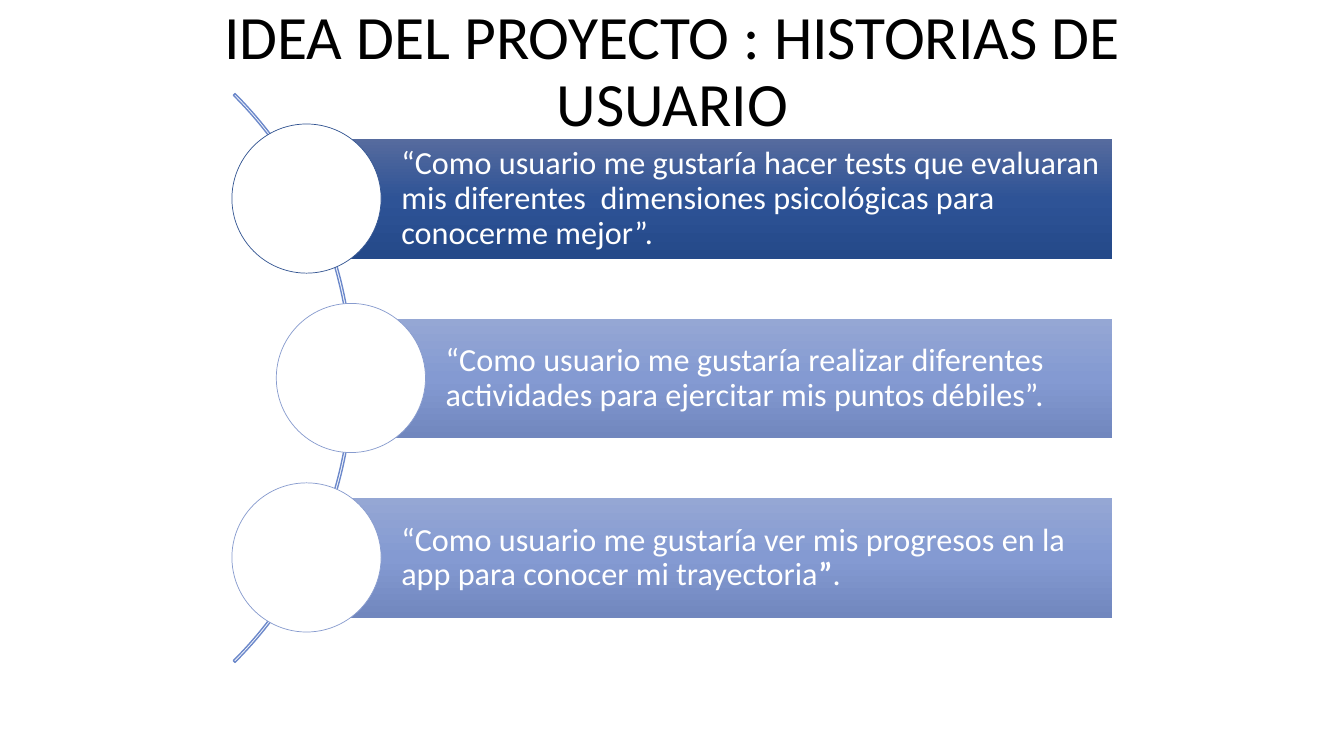
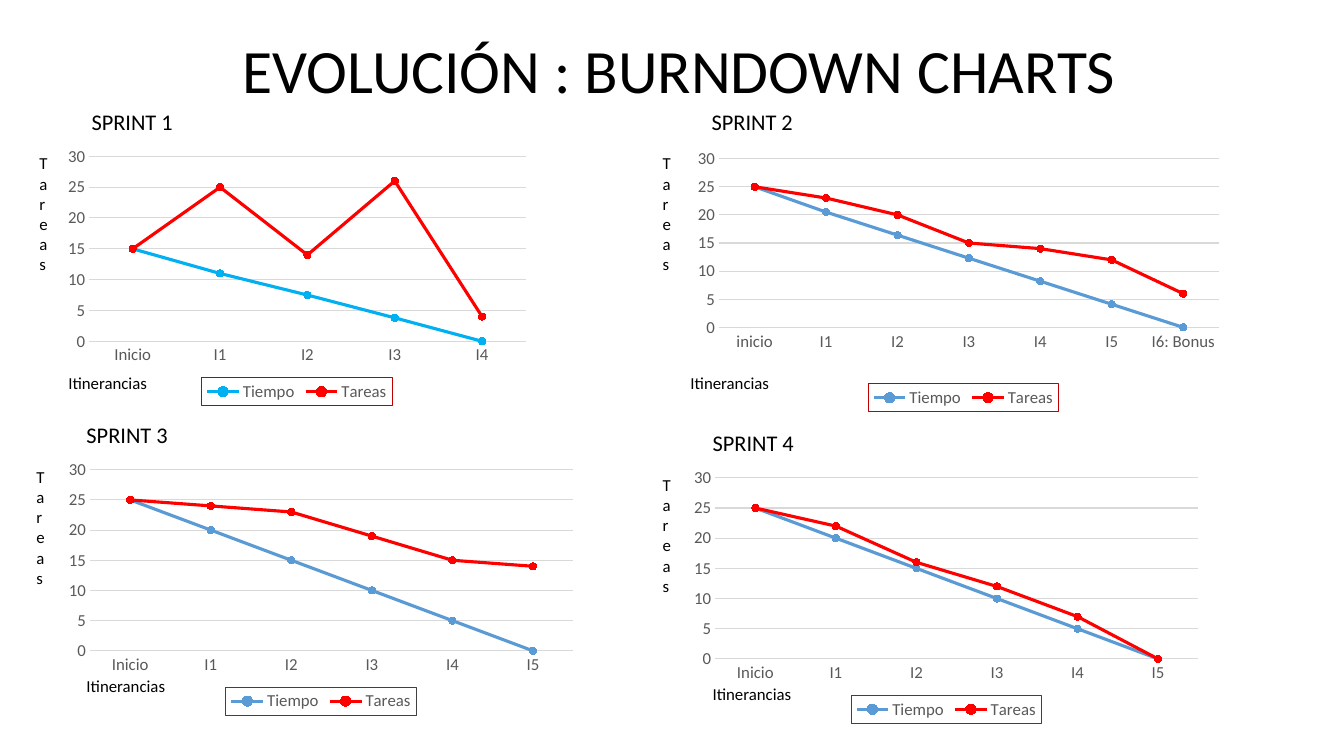
import copy
import pptx
import pptx.chart.data
import pptx.dml.color
import pptx.enum.chart
import pptx.enum.shapes
import pptx.enum.text
import pptx.oxml
import pptx.oxml.ns
import pptx.util

Inches = pptx.util.Inches
Pt = pptx.util.Pt
SHAPE = pptx.enum.shapes.MSO_SHAPE
ALIGN = pptx.enum.text.PP_ALIGN
ANCHOR = pptx.enum.text.MSO_ANCHOR
FIT = pptx.enum.text.MSO_AUTO_SIZE
CHART = pptx.enum.chart


def rgb(code):
    return pptx.dml.color.RGBColor.from_string(code)


def write(frame, text, size=12, color="000000", font="Calibri", align=ALIGN.LEFT,
          anchor=ANCHOR.TOP, space=None, pads=(0.1, 0.05, 0.1, 0.05), fit=FIT.NONE):
    frame.word_wrap = True
    frame.auto_size = fit
    frame.vertical_anchor = anchor
    (frame.margin_left, frame.margin_top,
     frame.margin_right, frame.margin_bottom) = map(Inches, pads)
    para = frame.paragraphs[0]
    para.alignment = align
    para.line_spacing = space
    for spot, part in enumerate(text.split("*")):
        run = para.add_run()
        run.text = part
        run.font.name = font
        run.font.size = Pt(size)
        run.font.bold = spot % 2 == 1
        run.font.color.rgb = rgb(color)


class Deck:
    font = "Calibri"
    black, white, red = "000000", "FFFFFF", "FF0000"
    gray, rule = "595959", "D9D9D9"

    def __init__(self):
        self.show = pptx.Presentation()
        self.show.slide_width = Inches(13.33)
        self.show.slide_height = Inches(7.5)
        self.slide = None

    def page(self):
        self.slide = self.show.slides.add_slide(self.show.slide_layouts[6])

    def label(self, text, x, y, w, h, **style):
        box = self.slide.shapes.add_textbox(*map(Inches, (x, y, w, h)))
        write(box.text_frame, text, font=self.font, **style)

    def title(self, text):
        self.label(text, 0.92, 0, 11.5, 1.45, size=44, align=ALIGN.CENTER,
                   anchor=ANCHOR.MIDDLE, space=0.9)

    def shape(self, kind, x, y, w, h, fill=None, line=None, width=1):
        item = self.slide.shapes.add_shape(kind, *map(Inches, (x, y, w, h)))
        item.shadow.inherit = False
        if fill:
            item.fill.solid()
            item.fill.fore_color.rgb = rgb(fill)
        else:
            item.fill.background()
        if line:
            item.line.color.rgb = rgb(line)
            item.line.width = Pt(width)
        else:
            item.line.fill.background()
        return item

    def arc(self, x, y, size, line):
        item = self.shape(SHAPE.BLOCK_ARC, x, y, size, size, line=line)
        for spot, value in enumerate((189, 27, 0.003)):
            item.adjustments[spot] = value

    def bar(self, text, x, y, w, h, shades):
        item = self.shape(SHAPE.RECTANGLE, x, y, w, h)
        item.fill.gradient()
        item.fill.gradient_angle = 270
        stops = item._element.spPr.find(".//" + pptx.oxml.ns.qn("a:gsLst"))
        stops.append(copy.deepcopy(stops[-1]))
        for spot, stop in enumerate(item.fill.gradient_stops):
            stop.position = spot / 2
            stop.color.rgb = rgb(shades[spot])
        write(item.text_frame, text, size=23, color=self.white, font=self.font,
              anchor=ANCHOR.MIDDLE, space=0.9, pads=(0.94, 0.06, 0.06, 0.06))

    def style(self, font, size, color):
        font.name = self.font
        font.size = Pt(size)
        font.color.rgb = rgb(color)

    def chart(self, x, y, w, h, cats, rows, colors, edge, plot=None):
        data = pptx.chart.data.CategoryChartData()
        data.categories = cats
        for name, vals in rows.items():
            data.add_series(name, vals)
        chart = self.slide.shapes.add_chart(
            CHART.XL_CHART_TYPE.LINE_MARKERS, *map(Inches, (x, y, w, h)), data).chart
        chart.has_title = False
        self.style(chart.font, 10, self.black)
        for axis in (chart.category_axis, chart.value_axis):
            axis.major_tick_mark = axis.minor_tick_mark = CHART.XL_TICK_MARK.NONE
            self.style(axis.tick_labels.font, 12, self.gray)
        grid = chart.value_axis.major_gridlines.format.line
        for line in (chart.category_axis.format.line, grid):
            line.color.rgb = rgb(self.rule)
            line.width = Pt(0.75)
        chart.value_axis.format.line.fill.background()
        chart.value_axis.minimum_scale = 0
        chart.value_axis.maximum_scale = 30
        chart.value_axis.major_unit = 5
        chart.plots[0].vary_by_categories = False
        for row, color in zip(chart.plots[0].series, colors):
            row.smooth = False
            row.format.line.color.rgb = rgb(color)
            row.format.line.width = Pt(2.25)
            row.marker.style = CHART.XL_MARKER_STYLE.CIRCLE
            row.marker.size = 5
            row.marker.format.fill.solid()
            row.marker.format.fill.fore_color.rgb = rgb(color)
            row.marker.format.line.color.rgb = rgb(color)
        self.legend(chart, edge)
        if plot:
            self.place(chart, plot)

    def legend(self, chart, edge):
        chart.has_legend = True
        key = chart.legend
        key.position = CHART.XL_LEGEND_POSITION.BOTTOM
        key.include_in_layout = False
        self.style(key.font, 12, self.gray)
        frame = pptx.oxml.parse_xml(
            f'<c:spPr {pptx.oxml.ns.nsdecls("c", "a")}><a:noFill/><a:ln w="9525">'
            f'<a:solidFill><a:srgbClr val="{edge}"/></a:solidFill></a:ln></c:spPr>')
        key._element.find(pptx.oxml.ns.qn("c:txPr")).addprevious(frame)

    def place(self, chart, plot):
        area = chart._chartSpace.chart.plotArea
        for old in area.findall(pptx.oxml.ns.qn("c:layout")):
            area.remove(old)
        sides = "".join(f'<c:{name} val="{value}"/>'
                        for name, value in zip("xywh", plot))
        area.insert(0, pptx.oxml.parse_xml(
            f'<c:layout {pptx.oxml.ns.nsdecls("c")}><c:manualLayout>'
            '<c:layoutTarget val="inner"/><c:xMode val="edge"/><c:yMode val="edge"/>'
            f'{sides}</c:manualLayout></c:layout>'))


def stories(deck):
    deck.page()
    deck.arc(-4.48, -0.24, 7.98, "6D89CB")
    dark = ("566B9E", "2E5396", "244989")
    light = ("95A7D4", "849AD2", "7187BE")
    items = (
        (3.04, dark, "325491", "“Como usuario me gustaría hacer tests que evaluaran mis "
         "diferentes  dimensiones psicológicas para conocerme mejor”."),
        (3.48, light, "879BCE", "“Como usuario me gustaría realizar diferentes actividades "
         "para ejercitar mis puntos débiles”."),
        (3.04, light, "879BCE", "“Como usuario me gustaría ver mis progresos en la app "
         "para conocer mi trayectoria*”*."),
    )
    for spot, (x, shades, edge, text) in enumerate(items):
        y = 1.38 + 1.78 * spot
        deck.bar(text, x, y, 11.03 - x, 1.19, shades)
        deck.shape(SHAPE.OVAL, x - 0.74, y - 0.15, 1.48, 1.48, deck.white, edge, 0.5)
    deck.title("IDEA DEL PROYECTO : HISTORIAS DE USUARIO")


def sprints(deck):
    deck.page()
    cyan, blue = "00B0F0", "5B9BD5"
    wine, dark = "C00000", "404040"
    steps = ["Inicio", "I1", "I2", "I3", "I4", "I5"]
    even = (25, 20, 15, 10, 5, 0)
    items = (
        ((0.58, 1.4, 4.73, 2.63), (0.32, 1.47), 0.81, (0.58, 3.65), steps[:5],
         (15, 11, 7.5, 3.8, 0), (15, 25, 14, 26, 4), cyan, wine, None),
        ((6.8, 1.47, 5.51, 2.62), (6.5, 1.47), 6.96, (6.75, 3.65),
         ["inicio", *steps[1:], "I6: Bonus"], (25, 20.5, 16.4, 12.3, 8.2, 4.1, 0),
         (25, 23, 20, 15, 14, 12, 6), blue, wine, (0.06, 0.04, 0.9, 0.64)),
        ((0.58, 4.51, 5.21, 2.59), (0.29, 4.58), 0.76, (0.76, 6.65), steps,
         even, (25, 24, 23, 19, 15, 14), blue, dark, None),
        ((6.78, 4.59, 5.21, 2.59), (6.5, 4.66), 6.97, (6.97, 6.73), steps,
         even, (25, 22, 16, 12, 7, 0), blue, dark, None),
    )
    grow = FIT.SHAPE_TO_FIT_TEXT
    for count, (box, side, left, foot, cats, time, tasks, tint, edge, plot) in enumerate(items, 1):
        rows = {"Tiempo": time, "Tareas": tasks}
        deck.chart(*box, cats, rows, (tint, deck.red), edge, plot)
        deck.label("Tareas", *side, 0.17, 1.31, fit=grow)
        deck.label("Itinerancias", *foot, 1.13, 0.3, fit=grow)
        deck.label(f"SPRINT {count}", left, side[1] - 0.45, 1.1, 0.37, size=16, fit=grow)
    deck.title(" EVOLUCIÓN : BURNDOWN CHARTS")


def main():
    deck = Deck()
    stories(deck)
    sprints(deck)
    deck.show.save("out.pptx")


if __name__ == "__main__":
    main()
